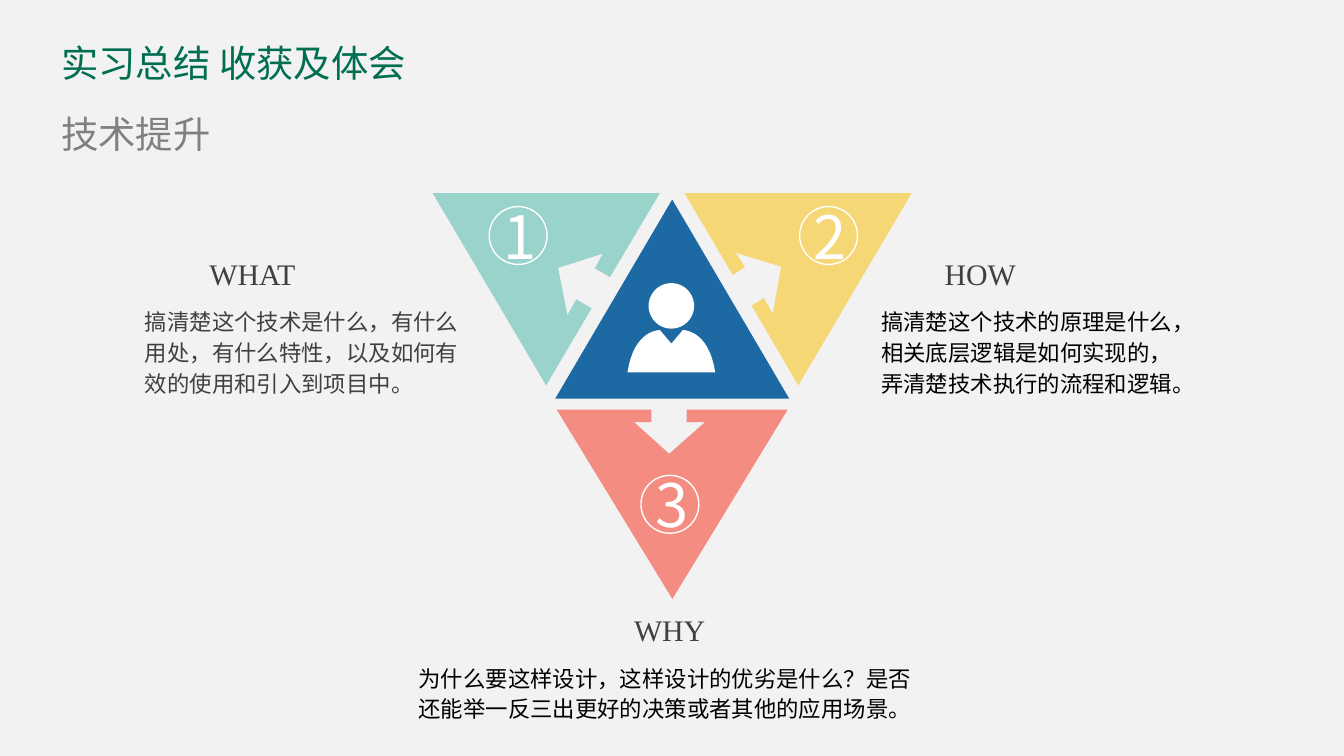
from math import cos, pi, sin
from lxml.etree import SubElement
from pptx import Presentation
from pptx.dml.color import RGBColor
from pptx.enum.shapes import MSO_SHAPE
from pptx.enum.text import MSO_AUTO_SIZE
from pptx.oxml.ns import qn
from pptx.util import Pt

PAPER = RGBColor(0xF2, 0xF2, 0xF2)
GREEN = RGBColor(0x00, 0x6E, 0x51)
GRAY = RGBColor(0x80, 0x80, 0x80)
DARK = RGBColor(0x40, 0x40, 0x40)
BLACK = RGBColor(0, 0, 0)
WHITE = RGBColor(0xFF, 0xFF, 0xFF)
TEAL = RGBColor(0x84, 0xCB, 0xC3)
YELLOW = RGBColor(0xF8, 0xD1, 0x58)
CORAL = RGBColor(0xF5, 0x73, 0x65)
BLUE = RGBColor(0x1D, 0x69, 0xA3)

SANS = "Noto Sans CJK SC"
SERIF = "Times New Roman"

TITLE = {"size": Pt(20), "name": SANS}
SUBTITLE = {"size": Pt(20), "name": SERIF}
HEADING = {"size": Pt(16), "name": SERIF}
BODY = {"size": Pt(12), "name": SANS}
NUMERAL = {"size": Pt(32), "name": SANS}
FLUSH = {"margin_left": 0, "margin_top": 0, "margin_right": 0, "margin_bottom": 0}

PETALS = [
    (CORAL, 66.4, 115.9, [
        (62, 101.5), (123.8, 0), (69.6, 0), (69.6, 6.7), (79.6, 6.7), (60.3, 23.7),
        (41.4, 6.7), (50.7, 6.7), (50.7, 0), (0, 0)]),
    (YELLOW, 134.9, 0, [
        (61, 103), (121.7, 0), (0, 0), (25.9, 43.9), (32.4, 39.6), (27.4, 31.9),
        (51.8, 39.4), (47.3, 64.6), (42.5, 56.2), (36, 60.3)]),
    (TEAL, 0, 0, [
        (60.8, 103), (85.2, 61.7), (77, 56.9), (72.2, 65.3), (67.2, 40.1), (91.2, 32.4),
        (86.9, 40.3), (95, 45), (121.7, 0), (0, 0)]),
]
NUMBERS = [("2", 196.6, 7.2), ("1", 30.3, 7.2), ("3", 111.6, 151.2)]
NOTES = [
    ("WHAT", "搞清楚这个技术是什么，有什么用处，有什么特性，以及如何有效的使用和引入到项目中。",
     DARK, 70.6, 133.2, 185, 34.5),
    ("HOW", "搞清楚这个技术的原理是什么，相关底层逻辑是如何实现的，弄清楚技术执行的流程和逻辑。",
     BLACK, 465, 133.2, 181.4, 34),
    ("WHY", "为什么要这样设计，这样设计的优劣是什么？是否还能举一反三出更好的决策或者其他的应用场景。",
     BLACK, 217.2, 324, 285.1, 115.4),
]


def apply_format(target, formats):
    for attribute, value in formats.items():
        setattr(target, attribute, value)


def add_text(shapes, wording, left, top, width, height, font, color, frame=None, spacing=None):
    box = shapes.add_textbox(Pt(left), Pt(top), Pt(width), Pt(height))
    apply_format(box.text_frame, {
        "word_wrap": True, "auto_size": MSO_AUTO_SIZE.SHAPE_TO_FIT_TEXT, **(frame or {})})
    paragraph = box.text_frame.paragraphs[0]
    paragraph.line_spacing = spacing
    run = paragraph.add_run()
    run.text = wording
    apply_format(run.font, font)
    run.font.color.rgb = color
    SubElement(run.font._element, qn("a:ea")).set("typeface", SANS)


def paint(shape, color, opacity=100):
    shape.shadow.inherit = False
    shape.line.fill.background()
    shape.fill.solid()
    shape.fill.fore_color.rgb = color
    if opacity < 100:
        tint = shape.fill._xPr.find(qn("a:solidFill"))[0]
        SubElement(tint, qn("a:alpha")).set("val", str(opacity * 1000))


def add_outline(shapes, contours, left, top):
    contours = [[(Pt(x), Pt(y)) for x, y in contour] for contour in contours]
    builder = shapes.build_freeform(*contours[0][0], scale=1)
    builder.add_line_segments(contours[0][1:], close=True)
    for contour in contours[1:]:
        builder.move_to(*contour[0])
        builder.add_line_segments(contour[1:], close=True)
    return builder.convert_to_shape(Pt(left), Pt(top))


def curve(start, control_1, control_2, end, steps=16):
    anchors = list(zip(start, control_1, control_2, end))
    return [
        tuple((1 - t) ** 3 * a + 3 * (1 - t) ** 2 * t * b + 3 * (1 - t) * t ** 2 * c + t ** 3 * d
              for a, b, c, d in anchors)
        for t in (step / steps for step in range(steps + 1))]


def add_header(shapes, left, top):
    add_text(shapes, "实习总结 收获及体会", left, top, 219, 24.5, TITLE, GREEN, FLUSH)
    add_text(shapes, "技术提升", left, top + 37.8, 86.4, 24.5, SUBTITLE, GRAY, FLUSH)


def add_number(shapes, digit, left, top):
    badge = shapes.add_group_shape().shapes
    ring = badge.add_shape(MSO_SHAPE.OVAL, Pt(left), Pt(top), Pt(31), Pt(31))
    ring.shadow.inherit = False
    ring.fill.background()
    apply_format(ring.line, {"width": Pt(0.75)})
    ring.line.color.rgb = WHITE
    add_text(badge, digit, left + 0.5, top - 7.4, 31.7, 46, NUMERAL, WHITE, {"word_wrap": False})


def add_person(shapes, left, top):
    head = [(23.5 + 12.2 * cos(pi * step / 24), 12.2 + 12.2 * sin(pi * step / 24))
            for step in range(48)]
    left_shoulder = curve((17.4, 25.2), (17.4, 25.2), (3.6, 24.5), (0, 47.8))
    right_shoulder = curve((47, 47.8), (43.4, 24.5), (29.6, 25.2), (29.6, 25.2))
    torso = [(23.5, 32.4), *left_shoulder, *right_shoulder]
    paint(add_outline(shapes, [head, torso], left, top), WHITE)


def add_diagram(shapes, left, top):
    triangles = shapes.add_group_shape().shapes
    for color, x, y, corners in PETALS:
        paint(add_outline(triangles, [corners], left + x, top + y), color, 80)
    core = triangles.add_shape(
        MSO_SHAPE.ISOSCELES_TRIANGLE, Pt(left + 65.7), Pt(top + 3.4), Pt(125.3), Pt(106.6))
    paint(core, BLUE)
    for digit, x, y in NUMBERS:
        add_number(shapes, digit, left + x, top + y)
    add_person(shapes, left + 104.4, top + 48.2)


def add_note(shapes, heading, body, color, left, top, width, indent):
    add_text(shapes, body, left, top + 26.6, width, 55.4, BODY, color, spacing=1.14)
    add_text(shapes, heading, left + indent, top, 62, 26.6, HEADING, DARK)


def main():
    deck = Presentation()
    apply_format(deck, {"slide_width": Pt(720), "slide_height": Pt(405)})
    slide = deck.slides.add_slide(deck.slide_layouts[6])
    slide.background.fill.solid()
    slide.background.fill.fore_color.rgb = PAPER
    add_header(slide.shapes, 32.8, 21.8)
    add_diagram(slide.shapes, 231.8, 103.5)
    for note in NOTES:
        add_note(slide.shapes, *note)
    deck.save("out.pptx")


if __name__ == "__main__":
    main()
